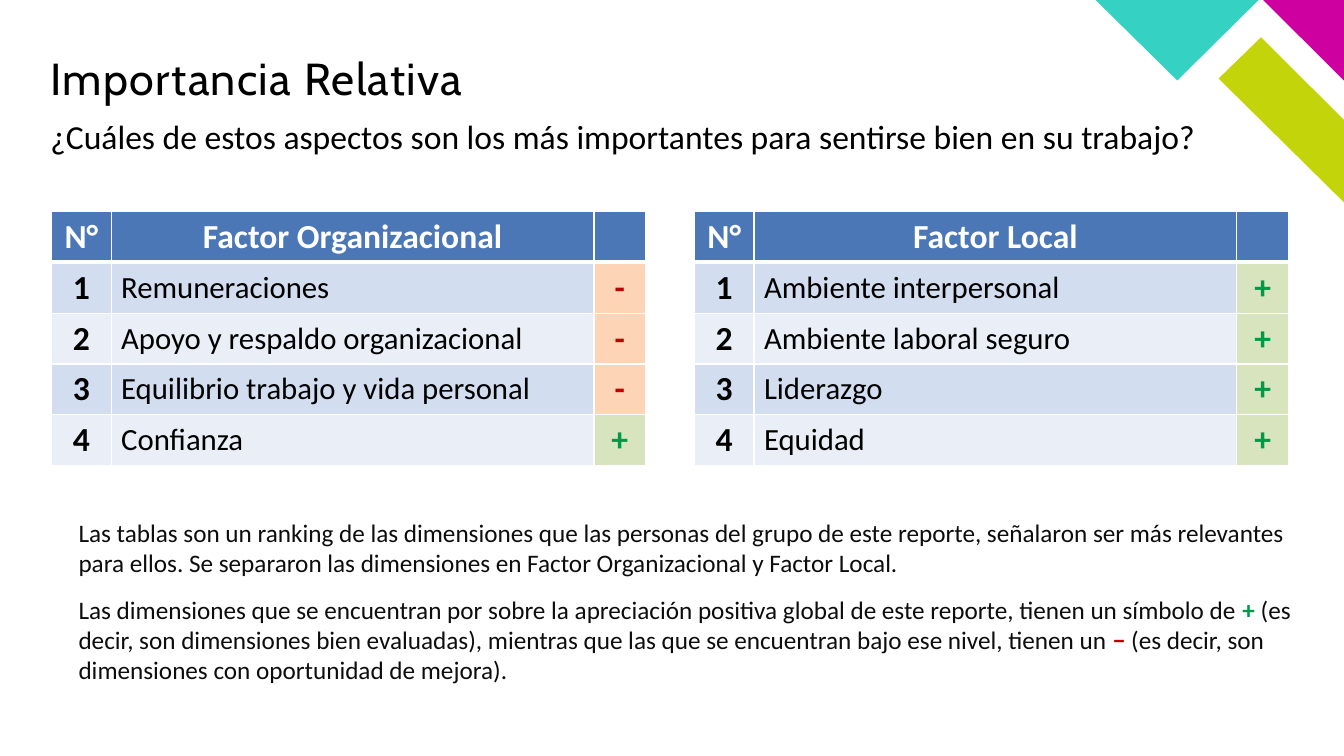
from lxml import etree
from pptx import Presentation
from pptx.dml.color import RGBColor
from pptx.enum import text
from pptx.oxml import ns
from pptx.util import Cm, Pt

WHITE = RGBColor(0xFF, 0xFF, 0xFF)
BLACK = RGBColor(0, 0, 0)
INK = RGBColor(0x0D, 0x0D, 0x0D)
LIME = RGBColor(0xC4, 0xD4, 0x0A)
MAGENTA = RGBColor(0xCE, 0x00, 0x9F)
TURQUOISE = RGBColor(0x35, 0xD2, 0xC4)
HEADER = RGBColor(0x4B, 0x77, 0xB6)
BANDS = RGBColor(0xD2, 0xDE, 0xEF), RGBColor(0xEA, 0xEF, 0xF7)
GREEN = RGBColor(0x00, 0x9A, 0x46)
RED = RGBColor(0xC0, 0x00, 0x00)
RATING_FILLS = {"+": RGBColor(0xD7, 0xE4, 0xBD), "-": RGBColor(0xFD, 0xD4, 0xB5)}
SIGN_COLORS = {"+": GREEN, "-": RED, "−": RED}

LEFT = 1.27
COLUMNS = 1.5, 12.17, 1.3
ROW_HEIGHT = 1.28
CORNER = [
    (LIME, [(6.26, 5.1), (6.26, 3.02), (4.17, 0.94), (3.1, 1.98)]),
    (MAGENTA, [(6.26, 2.03), (6.26, 0), (4.22, 0)]),
    (TURQUOISE, [(0, 0), (2.06, 2.03), (4.11, 0)]),
]
ORGANIZATIONAL = [
    ("Remuneraciones", "-"),
    ("Apoyo y respaldo organizacional", "-"),
    ("Equilibrio trabajo y vida personal", "-"),
    ("Confianza", "+"),
]
LOCAL = [
    ("Ambiente interpersonal", "+"),
    ("Ambiente laboral seguro", "+"),
    ("Liderazgo", "+"),
    ("Equidad", "+"),
]
NOTES = [
    ["Las tablas son un ranking de las dimensiones que las personas del grupo de este reporte, "
     "señalaron ser más relevantes para ellos. Se separaron las dimensiones en Factor "
     "Organizacional y Factor Local."],
    ["Las dimensiones que se encuentran por sobre la apreciación positiva global de este reporte, "
     "tienen un símbolo de ", "+",
     " (es decir, son dimensiones bien evaluadas), mientras que las que se encuentran bajo ese "
     "nivel, tienen un ", "−",
     " (es decir, son dimensiones con oportunidad de mejora)."],
]


def set_font(font, size, color, bold=False, name="Calibri"):
    font.name, font.size, font.bold = name, Pt(size), bold
    font.color.rgb = color


def add_corner(slide, left, top):
    for color, points in CORNER:
        outline = [(Cm(left + x), Cm(top + y)) for x, y in points]
        builder = slide.shapes.build_freeform(*outline[0])
        builder.add_line_segments(outline[1:])
        piece = builder.convert_to_shape()
        piece.shadow.inherit = False
        piece.fill.solid()
        piece.fill.fore_color.rgb = color
        piece.line.fill.background()


def add_title(slide, left, top, width, height):
    title = slide.shapes.title
    title.left, title.top, title.width, title.height = map(Cm, (left, top, width, height))
    frame = title.text_frame
    frame.text = "Importancia Relativa"
    frame.auto_size = text.MSO_AUTO_SIZE.NONE
    frame.vertical_anchor = text.MSO_ANCHOR.MIDDLE
    frame.margin_left = frame.margin_right = frame.margin_top = frame.margin_bottom = 0
    heading = frame.paragraphs[0]
    heading.alignment = text.PP_ALIGN.LEFT
    heading.line_spacing = 0.9
    set_font(heading.font, 32, BLACK, name="Cabin")
    heading.runs[0].font._element.set("spc", "100")


def add_question(slide, left, top, width, height):
    frame = slide.shapes.add_textbox(*map(Cm, (left, top, width, height))).text_frame
    frame.word_wrap = True
    frame.margin_left = 0
    question = frame.paragraphs[0]
    question.text = "¿Cuáles de estos aspectos son los más importantes para sentirse bien en su trabajo?"
    question.line_spacing = 0.9
    set_font(question.font, 24, BLACK)


def add_borders(cell, bottom):
    properties = cell._tc.get_or_add_tcPr()
    for side, points in (("L", 1), ("R", 1), ("T", 1), ("B", bottom)):
        line = etree.SubElement(properties, ns.qn(f"a:ln{side}"), w=str(Pt(points)))
        fill = etree.SubElement(line, ns.qn("a:solidFill"))
        etree.SubElement(fill, ns.qn("a:srgbClr"), val=str(WHITE))


def fill_cell(cell, words, fill, size, color, bold, centered, bottom):
    add_borders(cell, bottom)
    cell.fill.solid()
    cell.fill.fore_color.rgb = fill
    cell.vertical_anchor = text.MSO_ANCHOR.MIDDLE
    label = cell.text_frame.paragraphs[0]
    label.text = words
    label.alignment = text.PP_ALIGN.CENTER if centered else text.PP_ALIGN.LEFT
    set_font(label.font, size, color, bold)


def add_ranking(slide, left, top, heading, factors):
    count = len(factors) + 1
    table = slide.shapes.add_table(
        count, len(COLUMNS), Cm(left), Cm(top), Cm(sum(COLUMNS)), Cm(ROW_HEIGHT * count)).table
    table.horz_banding = False
    for column, width in zip(table.columns, COLUMNS):
        column.width = Cm(width)
    for row in table.rows:
        row.height = Cm(ROW_HEIGHT)
    for column, words in enumerate(("N°", heading, "")):
        fill_cell(table.cell(0, column), words, HEADER, 24, WHITE, True, True, 3)
    for rank, (factor, sign) in enumerate(factors, 1):
        band = BANDS[(rank - 1) % 2]
        fill_cell(table.cell(rank, 0), str(rank), band, 24, BLACK, True, True, 1)
        fill_cell(table.cell(rank, 1), factor, band, 22, BLACK, False, False, 1)
        fill_cell(table.cell(rank, 2), sign, RATING_FILLS[sign], 24, SIGN_COLORS[sign], True, True, 1)


def add_notes(slide, left, top, width, height):
    frame = slide.shapes.add_textbox(*map(Cm, (left, top, width, height))).text_frame
    frame.word_wrap = True
    frame.vertical_anchor = text.MSO_ANCHOR.MIDDLE
    for index, parts in enumerate(NOTES):
        note = frame.add_paragraph() if index else frame.paragraphs[0]
        note.space_after = Pt(12)
        for part in parts:
            run = note.add_run()
            run.text = part
            set_font(run.font, 18, SIGN_COLORS.get(part, INK), part in SIGN_COLORS)


def main():
    deck = Presentation()
    deck.slide_width, deck.slide_height = Cm(33.87), Cm(19.05)
    slide = deck.slides.add_slide(deck.slide_layouts[5])
    add_corner(slide, 27.61, 0)
    add_title(slide, LEFT, 1.19, 17.55, 1.7)
    add_question(slide, LEFT, 2.9, 30.15, 1.7)
    add_ranking(slide, 1.3, 5.33, "Factor Organizacional", ORGANIZATIONAL)
    add_ranking(slide, 17.5, 5.33, "Factor Local", LOCAL)
    add_notes(slide, 1.73, 12.88, 31.14, 4.52)
    deck.save("out.pptx")


if __name__ == "__main__":
    main()
